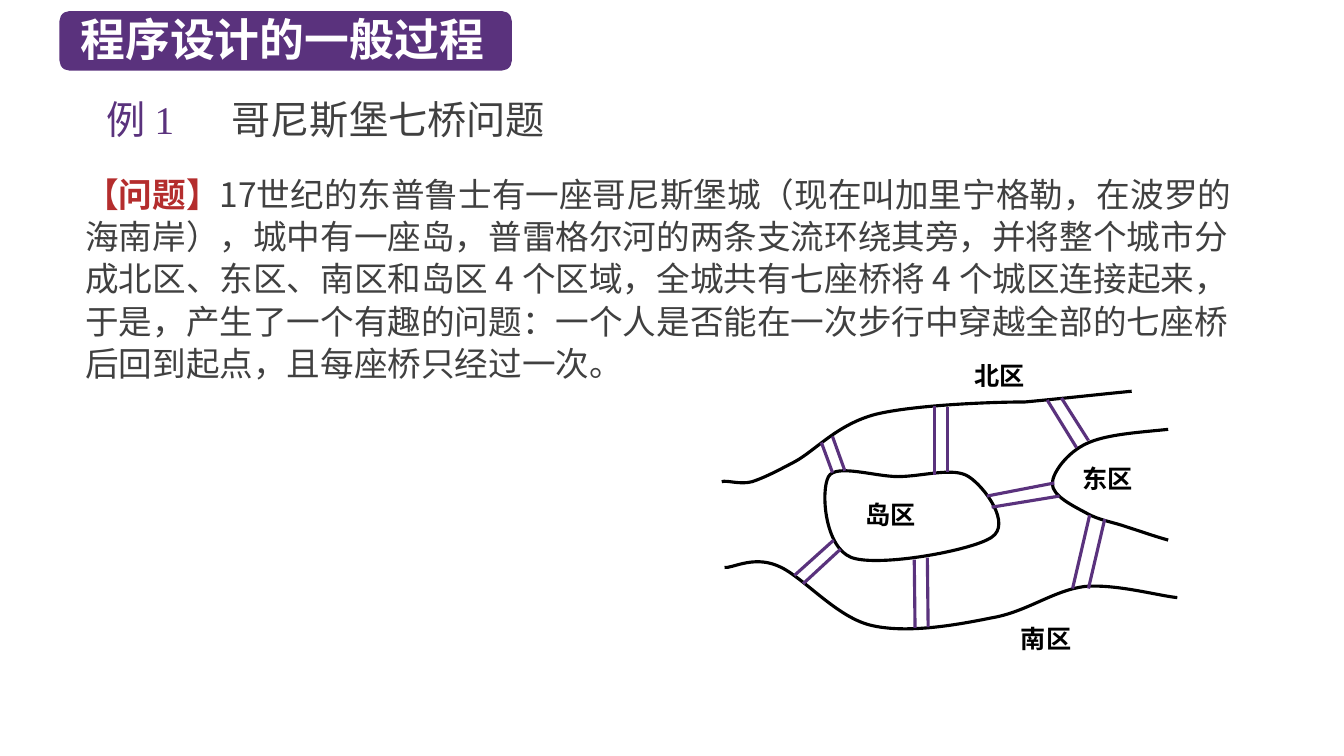
"""Build the slide on the seven bridges of Königsberg."""
from lxml.etree import SubElement
from pptx import Presentation
from pptx.dml.color import RGBColor
from pptx.enum.shapes import MSO_CONNECTOR, MSO_SHAPE
from pptx.enum.text import MSO_ANCHOR, PP_ALIGN
from pptx.oxml.ns import qn
from pptx.util import Cm, Pt

COLORS = {"purple": "5A327D", "white": "FFFFFF", "gray": "404040", "red": "B42D2D", "black": "000000"}
NOTO, TIMES = "Noto Sans CJK SC", "Times New Roman"


def rgb(name):
    return RGBColor.from_string(COLORS[name])


def add_text(box, runs, size, font, spacing=1.0):
    s = slide.shapes.add_textbox(*[Cm(v) for v in box])
    s.text_frame.word_wrap = True
    p = s.text_frame.paragraphs[0]
    p.line_spacing = spacing
    for text, color, bold in runs:
        r = p.add_run()
        r.text = text
        r.font.size, r.font.name, r.font.bold = Pt(size), font, bold
        r.font.color.rgb = rgb(color)
        SubElement(r.font._element, qn("a:ea"), typeface=NOTO)
    return s.text_frame


prs = Presentation()
prs.slide_width, prs.slide_height = Cm(33.87), Cm(19.05)
slide = prs.slides.add_slide(prs.slide_layouts[6])

banner = slide.shapes.add_shape(MSO_SHAPE.ROUNDED_RECTANGLE, Cm(1.5), Cm(0.28), Cm(11.4), Cm(1.5))
banner.shadow.inherit = False
banner.fill.solid()
banner.fill.fore_color.rgb = rgb("purple")
banner.line.fill.background()
add_text((1.78, 0.18, 11.28, 1.63), [("程序设计的一般过程", "white", True)], 32, NOTO)

tf = add_text((2.44, 2.41, 11.89, 1.63),
              [("例 1\t", "purple", False), ("哥尼斯堡七桥问题", "gray", False)], 28, TIMES, 0.9)
tabs = SubElement(tf.paragraphs[0]._p.get_or_add_pPr(), qn("a:tabLst"))
SubElement(tabs, qn("a:tab"), pos=str(Cm(3.15)), algn="l")

tf = add_text((1.9, 4.17, 29.92, 5.64), [
    ("【问题】", "red", True),
    ("17世纪的东普鲁士有一座哥尼斯堡城（现在叫加里宁格勒，在波罗的海南岸），城中有一座岛，"
     "普雷格尔河的两条支流环绕其旁，并将整个城市分成北区、东区、南区和岛区 4 个区域，"
     "全城共有七座桥将 4 个城区连接起来，于是，产生了一个有趣的问题："
     "一个人是否能在一次步行中穿越全部的七座桥后回到起点，且每座桥只经过一次。", "gray", False),
], 24, NOTO, 1.05)
tf.vertical_anchor = MSO_ANCHOR.MIDDLE

east_bank = [
    (29.44, 10.82), (28.65, 10.9), (27.86, 10.95), (27.38, 11.18),
    (26.9, 11.4), (26.52, 11.91), (26.52, 12.19),
    (26.52, 12.5), (27.05, 12.75), (27.38, 12.93),
    (27.69, 13.11), (28.07, 13.16), (28.4, 13.28),
    (28.75, 13.39), (29.08, 13.51), (29.44, 13.61)]
north_bank = [
    (18.19, 12.14), (18.31, 12.09), (18.64, 12.22), (18.95, 12.14),
    (19.25, 12.04), (19.51, 11.91), (20.04, 11.63),
    (20.55, 11.35), (21.11, 10.69), (22.07, 10.44),
    (23.01, 10.21), (24.94, 10.13), (25.83, 10.13),
    (26.9, 10.03), (27.97, 9.91), (28.52, 9.86)]
south_bank = [
    (18.26, 14.3), (18.44, 14.33), (18.97, 14), (19.58, 14.25),
    (20.19, 14.48), (21.03, 15.52), (21.92, 15.75),
    (22.83, 15.98), (24.1, 15.75), (24.99, 15.57),
    (25.88, 15.42), (26.54, 14.88), (27.33, 14.78),
    (28.12, 14.71), (29.18, 15.01), (29.67, 15.06)]
island = [
    (22.63, 12.01), (22.05, 12.01), (21.06, 11.68), (20.88, 12.01),
    (20.68, 12.37), (20.78, 13.79), (21.46, 14.05),
    (22.15, 14.3), (24.51, 13.87), (24.99, 13.54),
    (25.5, 13.21), (24.82, 12.27), (24.41, 12.01),
    (24.03, 11.76), (23.24, 12.01), (22.63, 12.01)]

for shore in (east_bank, north_bank, south_bank, island):
    points = [(Cm(x), Cm(y)) for x, y in shore]
    builder = slide.shapes.build_freeform(*points[0])
    builder.add_line_segments(points[1:], close=shore is island)
    s = builder.convert_to_shape()
    s.shadow.inherit = False
    s.fill.background()
    s.line.color.rgb = rgb("black")
    s.line.width = Pt(2.25)
    segments = list(s._element.iter(qn("a:lnTo")))
    for i in range(0, len(segments), 3):
        first = segments[i]
        first.tag = qn("a:cubicBezTo")
        for other in segments[i + 1:i + 3]:
            first.append(other[0])
            other.getparent().remove(other)

bridge_sides = [
    (24.87, 12.5, 26.57, 12.17), (24.99, 12.78, 26.7, 12.5),
    (20.7, 11.15, 20.98, 11.91), (20.98, 11, 21.29, 11.86),
    (21.01, 13.61, 20.02, 14.5), (21.18, 13.84, 20.24, 14.71),
    (23.04, 14.1, 23.06, 15.82), (23.37, 14.05, 23.39, 15.8),
    (26.39, 10.08, 27.13, 11.28), (26.75, 10.03, 27.43, 11.1),
    (27.46, 12.98, 27.03, 14.83), (27.84, 13.08, 27.43, 14.83),
    (23.55, 10.24, 23.55, 11.96), (23.88, 10.26, 23.88, 11.89)]
for ends in bridge_sides:
    s = slide.shapes.add_connector(MSO_CONNECTOR.STRAIGHT, *[Cm(v) for v in ends])
    s.line.color.rgb = rgb("purple")
    s.line.width = Pt(2.25)
    SubElement(s._element.spPr, qn("a:effectLst"))

for name, x, y in [("东区", 27.28, 11.81), ("北区", 24.56, 9.22), ("岛区", 21.82, 12.73), ("南区", 25.73, 15.85)]:
    tf = add_text((x, y, 1.68, 0.74), [(name, "black", True)], 18, TIMES, 0.8)
    tf.margin_left = tf.margin_top = tf.margin_right = tf.margin_bottom = 0
    tf.paragraphs[0].alignment = PP_ALIGN.JUSTIFY

prs.save("out.pptx")
